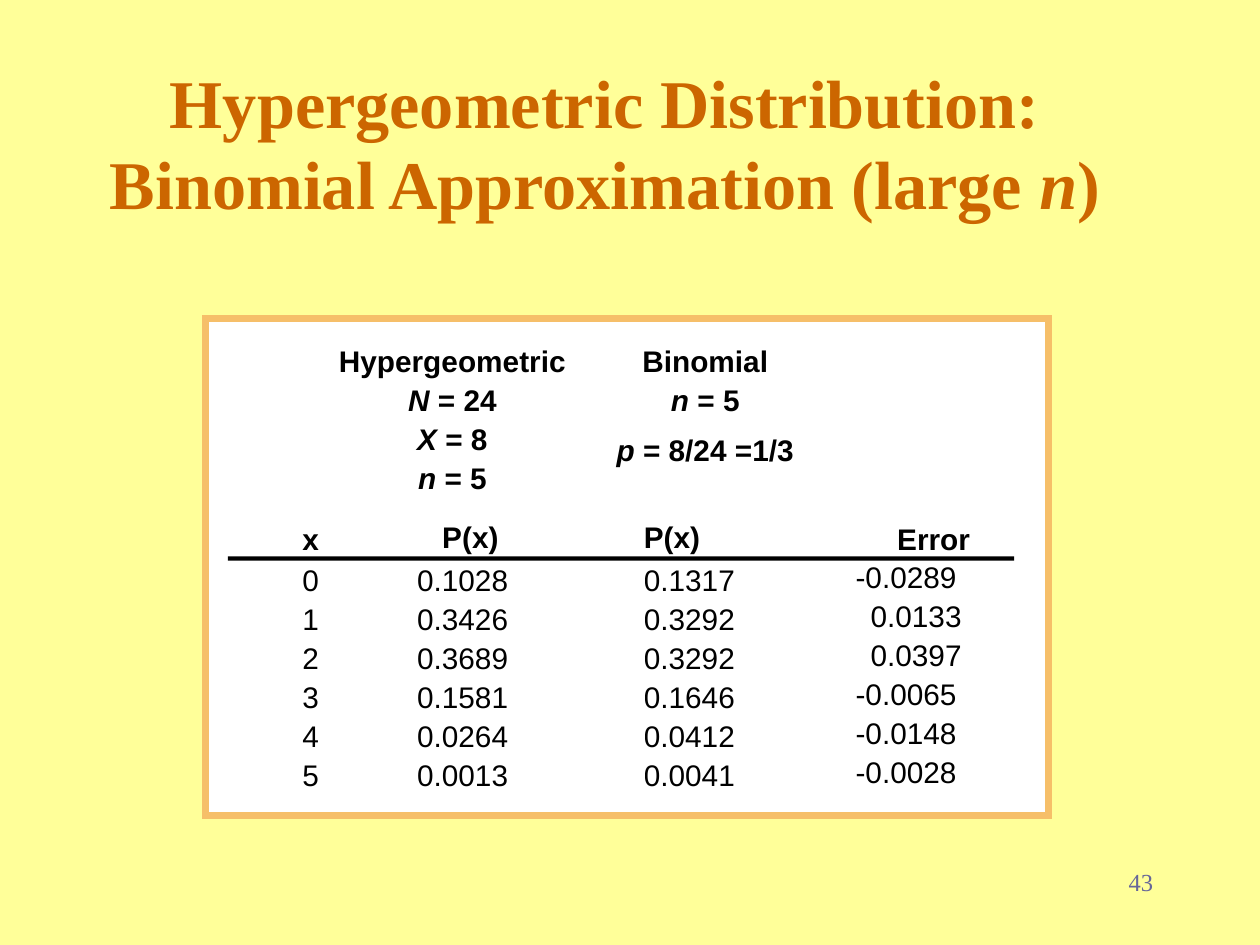
"""Build a slide comparing hypergeometric and binomial probabilities."""
from dataclasses import dataclass

from lxml import etree
from pptx import Presentation
from pptx import util as u
from pptx.dml.color import RGBColor
from pptx.enum import shapes, text
from pptx.oxml import ns

Pt = u.Pt
PITCH = 22.32


@dataclass
class Run:
    text: str
    italic: bool = False


@dataclass
class Line:
    runs: list[Run]
    top: float
    width: float


@dataclass
class Column:
    header: str
    header_indent: float
    header_drop: float
    width: float
    indent: float
    drop: float
    values: list[str]


def color(value: str) -> RGBColor:
    return RGBColor.from_string(value)


def write(tf, runs: list[Run], size: float, font: str, fill: str, bold: bool, align) -> None:
    p = tf.paragraphs[0]
    p.text = runs[0].text
    p.alignment = align
    italics = [runs[0].italic] * len(p.runs)
    for run in runs[1:]:
        p.add_run().text = run.text
        italics.append(run.italic)
    for r, italic in zip(p.runs, italics):
        r.font.size, r.font.name = Pt(size), font
        r.font.bold, r.font.italic = bold, italic
        r.font.color.rgb = color(fill)


def add_rect(s, left: float, top: float, width: float, height: float, fill: str):
    sp = s.shapes.add_shape(shapes.MSO_SHAPE.RECTANGLE, Pt(left), Pt(top), Pt(width), Pt(height))
    sp.shadow.inherit = False
    sp.fill.solid()
    sp.fill.fore_color.rgb = color(fill)
    sp.line.fill.background()
    return sp


def add_panel(s) -> None:
    panel = add_rect(s, 117.4, 182, 481.7, 284, "FFFFFF")
    panel.line.color.rgb = color("F6BF69")
    panel.line.width = Pt(4)
    outline = panel.line.fill._xPr
    etree.SubElement(outline, ns.qn("a:miter")).set("lim", "800000")


def add_title(s) -> None:
    sp = s.shapes.title
    sp.left, sp.top, sp.width, sp.height = Pt(48), Pt(36), Pt(595.4), Pt(90)
    tf = sp.text_frame
    tf.auto_size = text.MSO_AUTO_SIZE.NONE
    tf.vertical_anchor = text.MSO_ANCHOR.MIDDLE
    runs = [Run("Hypergeometric Distribution:\vBinomial Approximation (large "), Run("n", True), Run(")")]
    write(tf, runs, 39, "Times New Roman", "CC6600", True, text.PP_ALIGN.CENTER)


def add_parameters(s, center: float, lines: list[Line]) -> None:
    for line in lines:
        sp = s.shapes.add_textbox(Pt(center - line.width / 2), Pt(line.top), Pt(line.width), Pt(27.4))
        sp.text_frame.word_wrap = False
        write(sp.text_frame, line.runs, 17, "Arial", "000000", True, text.PP_ALIGN.CENTER)


def fill_cell(cell, value: str, bold: bool, left: float, top: float) -> None:
    cell.fill.background()
    cell.margin_left, cell.margin_top = Pt(left), Pt(top)
    cell.margin_right = cell.margin_bottom = 0
    write(cell.text_frame, [Run(value)], 17, "Arial", "000000", bold, text.PP_ALIGN.LEFT)


def add_probabilities(s, columns: list[Column]) -> None:
    count = len(columns[0].values)
    width = sum(c.width for c in columns)
    frame = s.shapes.add_table(count + 1, len(columns), Pt(130.3), Pt(297.8),
                               Pt(width), Pt(23 + count * PITCH))
    table = frame.table
    table.first_row = table.horz_banding = False
    for i, row in enumerate(table.rows):
        row.height = Pt(PITCH if i else 23)
    for j, column in enumerate(columns):
        table.columns[j].width = Pt(column.width)
        fill_cell(table.cell(0, j), column.header, True, column.header_indent, column.header_drop)
        signed = any(v.startswith("-") for v in column.values)
        for i, value in enumerate(column.values, 1):
            shift = 8.6 if signed and not value.startswith("-") else 0
            fill_cell(table.cell(i, j), value, False, column.indent + shift, column.drop)


def add_number(s) -> None:
    sp = s.shapes.add_textbox(Pt(606), Pt(492), Pt(60), Pt(36))
    sp.text_frame.word_wrap = True
    write(sp.text_frame, [Run("43")], 14, "Times New Roman", "666699", False, text.PP_ALIGN.RIGHT)


def main() -> None:
    prs = Presentation()
    prs.slide_width, prs.slide_height = Pt(720), Pt(540)
    s = prs.slides.add_slide(prs.slide_layouts[5])
    s.background.fill.solid()
    s.background.fill.fore_color.rgb = color("FFFF99")
    add_title(s)
    add_panel(s)

    top = 192.2
    add_parameters(s, 258.5, [
        Line([Run("Hypergeometric")], top, 148),
        Line([Run("N ", True), Run("= 24")], top + PITCH, 70),
        Line([Run("X ", True), Run("= 8")], top + 2 * PITCH, 60),
        Line([Run("n ", True), Run("= 5")], top + 3 * PITCH, 60),
    ])
    add_parameters(s, 403, [
        Line([Run("Binomial")], top, 90),
        Line([Run("n ", True), Run("= 5")], top + PITCH, 60),
        Line([Run("p ", True), Run("= 8/24 =1/3")], 243.4, 120),
    ])
    add_probabilities(s, [
        Column("x", 42.5, 1.4, 108, 42.5, 1.8, [str(x) for x in range(6)]),
        Column("P(x)", 14.4, 0, 129.6, 0, 1.8,
               ["0.1028", "0.3426", "0.3689", "0.1581", "0.0264", "0.0013"]),
        Column("P(x)", 0, 0, 121, 0, 1.8,
               ["0.1317", "0.3292", "0.3292", "0.1646", "0.0412", "0.0041"]),
        Column("Error", 23.8, 1.4, 90.7, 0, 0,
               ["-0.0289", "0.0133", "0.0397", "-0.0065", "-0.0148", "-0.0028"]),
    ])
    add_rect(s, 130.3, 318, 449.3, 2.4, "000000")
    add_number(s)
    prs.save("out.pptx")


if __name__ == "__main__":
    main()
